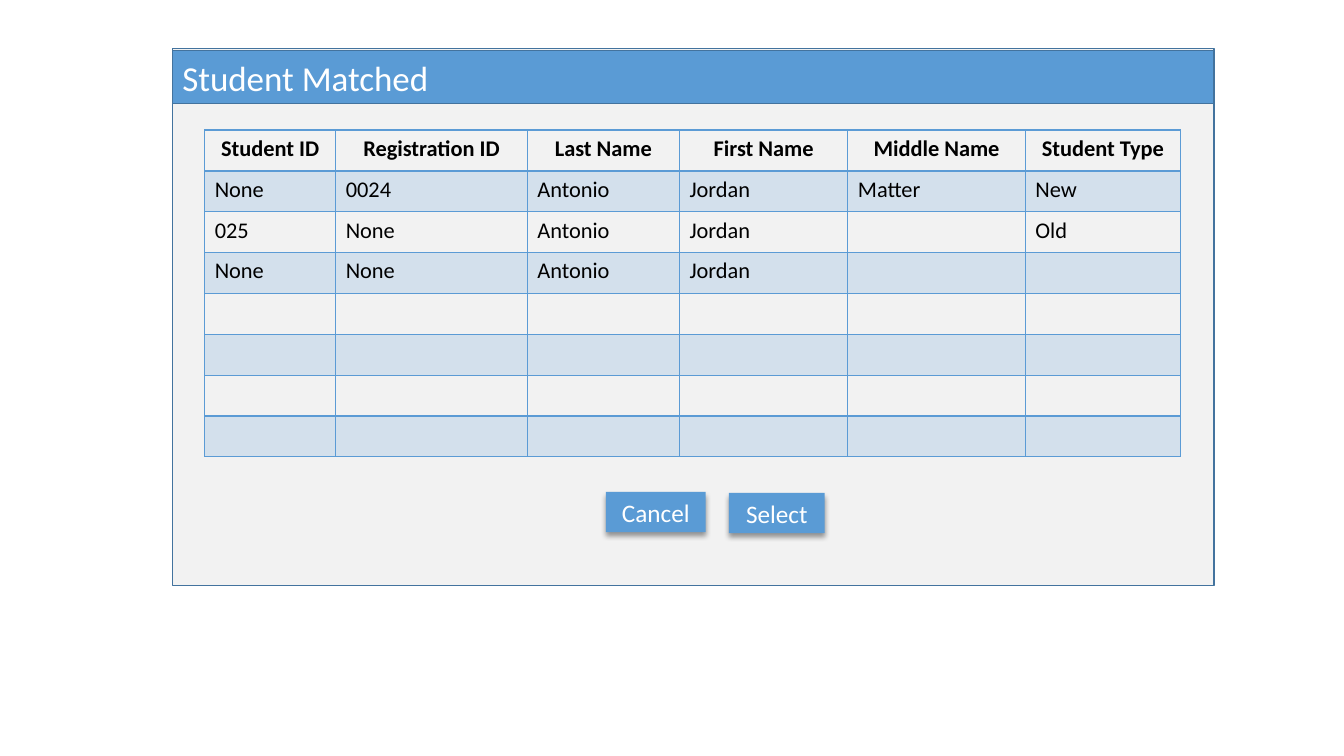
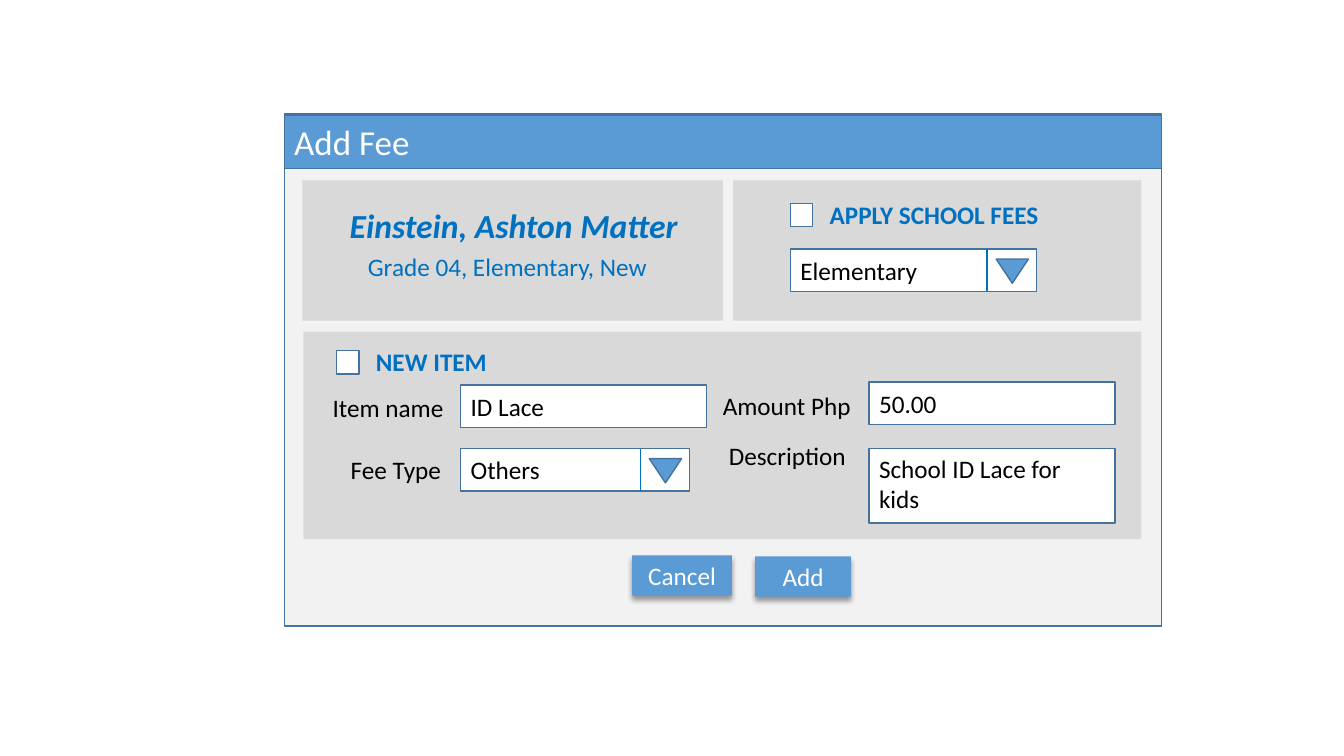
import pptx
import pptx.dml.color
import pptx.enum.shapes
import pptx.enum.text
import pptx.oxml
import pptx.oxml.ns
import pptx.util
import lxml.etree

Inches = pptx.util.Inches
Pt = pptx.util.Pt
ANCHOR = pptx.enum.text.MSO_ANCHOR
ALIGN = pptx.enum.text.PP_ALIGN
SHAPE = pptx.enum.shapes.MSO_SHAPE
qn = pptx.oxml.ns.qn

FONT = "Calibri"
COLORS = {
    "window": "F2F2F2",
    "title": "5A9BD5",
    "accent": "5B9BD5",
    "outline": "43739E",
    "panel": "D9D9D9",
    "blue": "0070C0",
    "white": "FFFFFF",
    "black": "000000",
}


def rgb(name):
    return pptx.dml.color.RGBColor.from_string(COLORS[name])


def put(slide, left, top, width, height, text="", fill=None, line=None, preset=SHAPE.RECTANGLE,
        size=18, color="black", bold=False, italic=False, align=ALIGN.LEFT,
        anchor=ANCHOR.MIDDLE, frame=None):
    """Write text into a given frame, a new filled shape, or (without fill) a text box."""
    shape = None
    if frame is None:
        place = [Inches(length) for length in (left, top, width, height)]
        if fill:
            shape = slide.shapes.add_shape(preset, *place)
            shape.shadow.inherit = False
            shape.fill.solid()
            shape.fill.fore_color.rgb = rgb(fill)
            if line:
                shape.line.color.rgb = rgb(line)
                shape.line.width = Pt(1)
            else:
                shape.line.fill.background()
        else:
            shape = slide.shapes.add_textbox(*place)
        frame = shape.text_frame
        frame.word_wrap = bool(fill)
        frame.vertical_anchor = anchor
    if text:
        paragraph = frame.paragraphs[0]
        paragraph.alignment = align
        run = paragraph.add_run()
        run.text = text
        run.font.name = FONT
        run.font.size = Pt(size)
        run.font.bold = bold
        run.font.italic = italic
        run.font.color.rgb = rgb(color)
    return shape


presentation = pptx.Presentation()
presentation.slide_width = Inches(13.33)
presentation.slide_height = Inches(7.5)

# Windows: title, left, top, width, height, title bar top, Cancel corner, action button
windows = [
    ("Student Matched", 1.71, 0.48, 10.33, 5.33, 0.5, (6.01, 4.88), "Select"),
    ("Add Fee", 2.82, 1.13, 8.7, 5.08, 1.14, (6.27, 5.51), "Add"),
]
slides = []
for title, left, top, width, height, bar_top, (button_left, button_top), action in windows:
    slide = presentation.slides.add_slide(presentation.slide_layouts[6])
    slides.append(slide)
    put(slide, left, top, width, height, fill="window", line="outline")
    put(slide, left, bar_top, width, 0.53, title, fill="title", line="outline",
        size=25, color="white")
    for caption, x, y, button_width in [
        (action, button_left + 1.22, button_top + 0.01, 0.95),
        ("Cancel", button_left, button_top, 0.99),
    ]:
        button = put(slide, x, y, button_width, 0.4, caption, fill="title", color="white",
                     align=ALIGN.CENTER, anchor=ANCHOR.TOP)
        effects = button._element.spPr.find(qn("a:effectLst"))
        shadow = lxml.etree.SubElement(effects, qn("a:outerShdw"), blurRad=str(Pt(4)),
                                       dist=str(Pt(3)), dir="5400000", algn="t", rotWithShape="0")
        shade = lxml.etree.SubElement(shadow, qn("a:srgbClr"), val=COLORS["black"])
        lxml.etree.SubElement(shade, qn("a:alpha"), val="40000")

match_slide, fee_slide = slides

# Student table
rows = [
    ["Student ID", "Registration ID", "Last Name", "First Name", "Middle Name", "Student Type"],
    ["None", "0024", "Antonio", "Jordan", "Matter", "New"],
    ["025", "None", "Antonio", "Jordan", "", "Old"],
    ["None", "None", "Antonio", "Jordan", "", ""],
] + [[""] * 6] * 4
column_widths = [1.3, 1.9, 1.51, 1.67, 1.76, 1.54]
table = match_slide.shapes.add_table(len(rows), len(column_widths), Inches(2.03), Inches(1.29),
                                     Inches(sum(column_widths)), Inches(3.24)).table
table.first_row = False
table.horz_banding = False
for column, width in zip(table.columns, column_widths):
    column.width = Inches(width)
for row_index, row in enumerate(rows):
    for column_index, text in enumerate(row):
        cell = table.cell(row_index, column_index)
        header = row_index == 0
        properties = cell._tc.get_or_add_tcPr()
        for side in "LRTB":
            thick = (header and side == "B") or (row_index == 1 and side == "T")
            border = lxml.etree.SubElement(properties, qn("a:ln" + side),
                                           w=str(Pt(2 if thick else 1)))
            paint = lxml.etree.SubElement(border, qn("a:solidFill"))
            lxml.etree.SubElement(paint, qn("a:srgbClr"), val=COLORS["accent"])
        if row_index % 2:
            cell.fill.solid()
            cell.fill.fore_color.rgb = rgb("accent")
            tint = properties.find(qn("a:solidFill")).find(qn("a:srgbClr"))
            lxml.etree.SubElement(tint, qn("a:alpha"), val="20000")
        else:
            cell.fill.background()
        put(match_slide, 0, 0, 0, 0, text, frame=cell.text_frame, size=16, bold=header,
            align=ALIGN.CENTER if header else ALIGN.LEFT)

# Fee panels
for place in [(3.01, 3.29, 8.31, 2.06), (7.27, 1.79, 4.05, 1.39), (3, 1.79, 4.17, 1.39)]:
    put(fee_slide, *place, fill="panel")

# Student name and grade
put(fee_slide, 3.37, 1.98, 3.51, 0.5, "Einstein, Ashton Matter", size=24, color="blue",
    bold=True, italic=True, anchor=ANCHOR.TOP)
put(fee_slide, 3.55, 2.44, 3.05, 0.4, "Grade 04, Elementary, New", color="blue",
    anchor=ANCHOR.TOP)

# Check boxes with headings
for heading, left, top, width, box_left in [
    ("APPLY SCHOOL FEES", 8.13, 1.93, 2.29, 7.84),
    ("NEW ITEM", 3.63, 3.39, 1.31, 3.34),
]:
    put(fee_slide, left, top, width, 0.4, heading, color="blue", bold=True, anchor=ANCHOR.TOP)
    put(fee_slide, box_left, top + 0.09, 0.22, 0.23, fill="white", line="outline")

# Field labels
for label, left, top, width in [
    ("Item name", 3.2, 3.84, 1.31),
    ("Amount Php", 7.07, 3.82, 1.48),
    ("Description", 7.13, 4.32, 1.38),
    ("Fee Type", 3.38, 4.46, 1.11),
]:
    put(fee_slide, left, top, width, 0.4, label, anchor=ANCHOR.TOP)

# Input fields
for value, left, top, height, anchor in [
    ("ID Lace", 4.57, 3.82, 0.42, ANCHOR.MIDDLE),
    ("50.00", 8.62, 3.79, 0.42, ANCHOR.MIDDLE),
    ("School ID Lace for kids", 8.62, 4.45, 0.74, ANCHOR.TOP),
]:
    put(fee_slide, left, top, 2.44, height, value, fill="white", line="outline", anchor=anchor)

# Drop-down fields
for value, left, top, width in [("Others", 4.57, 4.45, 2.27), ("Elementary", 7.84, 2.47, 2.44)]:
    right = left + width
    put(fee_slide, left, top, width, 0.42, value, fill="white", line="outline")
    arrow = put(fee_slide, right - 0.4, top + 0.1, 0.32, 0.24, fill="accent", line="outline",
                preset=SHAPE.ISOSCELES_TRIANGLE)
    arrow.rotation = 180
    divider = fee_slide.shapes.add_connector(
        pptx.enum.shapes.MSO_CONNECTOR.STRAIGHT,
        Inches(right - 0.49), Inches(top + 0.42), Inches(right - 0.49), Inches(top))
    divider.line.color.rgb = rgb("blue")
    divider.line.width = Pt(1)
    lxml.etree.SubElement(divider._element.spPr, qn("a:effectLst"))

presentation.save("out.pptx")
